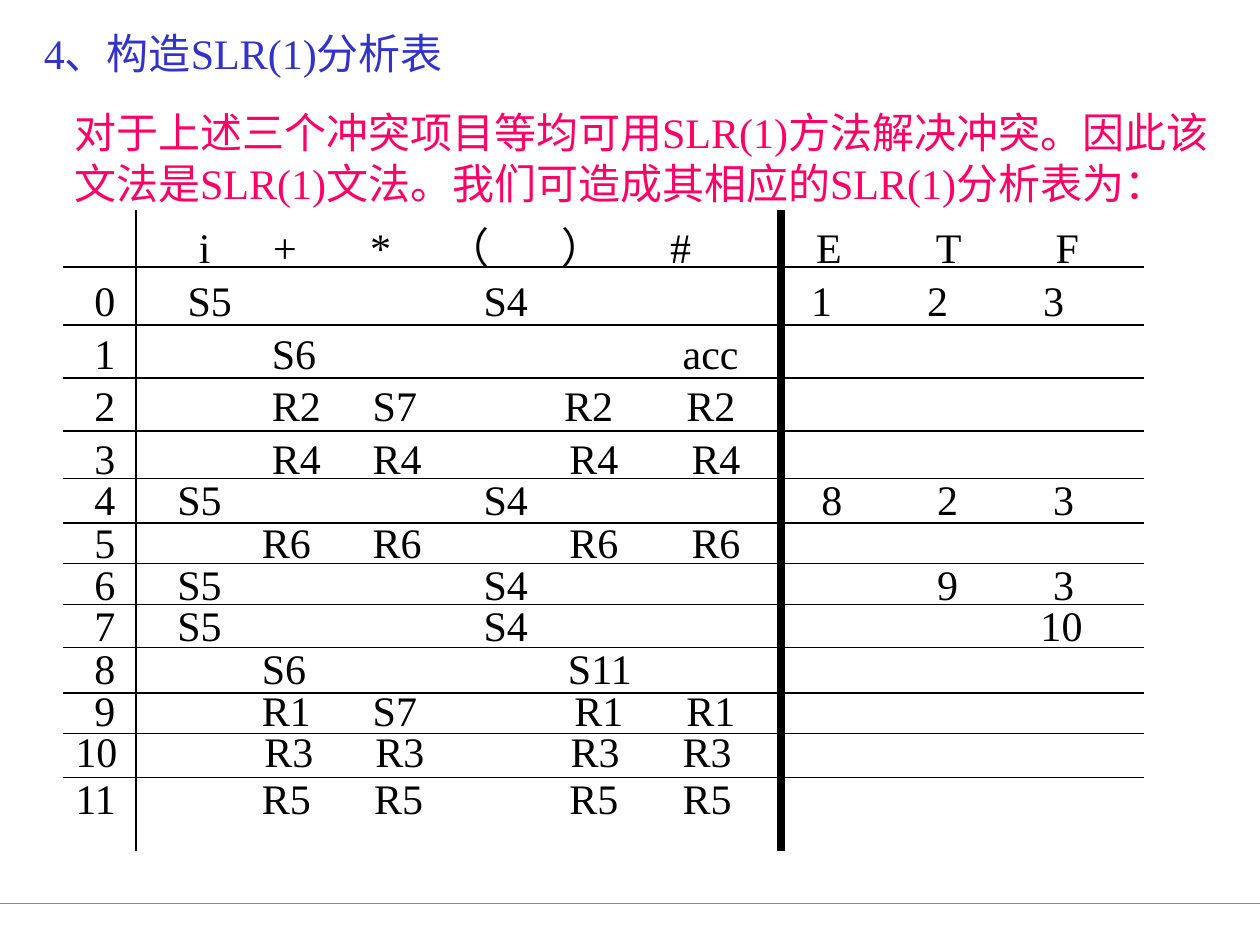
from dataclasses import dataclass

from lxml.etree import SubElement
from pptx import Presentation
from pptx.dml.color import RGBColor
from pptx.enum.shapes import MSO_CONNECTOR
from pptx.enum.text import MSO_ANCHOR
from pptx.oxml.ns import qn
from pptx.shapes.autoshape import Shape
from pptx.slide import Slide
from pptx.util import Inches, Pt

FONT = "Times New Roman"
SIZE = 24
BLACK = "000000"
BLUE = "3333CC"
PINK = "FF0066"
TEAL = "00CC99"
INSET = 0.1
TABLE_LEFT, TABLE_RIGHT = 0.5, 9.08
TABLE_TOP, TABLE_BOTTOM = 1.67, 6.75
STATE_DIVIDER, GOTO_DIVIDER = 1.08, 6.2
ROW_HEIGHT = 0.5


@dataclass(frozen=True)
class Cell:
    text: str
    x: float


@dataclass(frozen=True)
class Row:
    state: str
    left: float
    top: float
    cells: list[Cell]


def cells(texts: str, *positions: float) -> list[Cell]:
    """Pair space-separated entries with their horizontal positions."""
    return [Cell(text, x) for text, x in zip(texts.split(), positions, strict=True)]


ROWS = [
    Row("", 0.98, 1.71, cells("i + * （ ） # E T F",
                              1.58, 2.17, 2.94, 3.55, 4.46, 5.32, 6.48, 7.43, 8.38)),
    Row("0", 0.65, 2.13, cells("S5 S4 1 2 3", 1.49, 3.84, 6.44, 7.36, 8.28)),
    Row("1", 0.65, 2.55, cells("S6 acc", 2.16, 5.42)),
    Row("2", 0.65, 2.96, cells("R2 S7 R2 R2", 2.16, 2.96, 4.48, 5.45)),
    Row("3", 0.65, 3.38, cells("R4 R4 R4 R4", 2.16, 2.96, 4.52, 5.49)),
    Row("4", 0.65, 3.71, cells("S5 S4 8 2 3", 1.41, 3.84, 6.52, 7.44, 8.36)),
    Row("5", 0.65, 4.05, cells("R6 R6 R6 R6", 2.08, 2.96, 4.52, 5.49)),
    Row("6", 0.65, 4.38, cells("S5 S4 9 3", 1.41, 3.84, 7.44, 8.36)),
    Row("7", 0.65, 4.71, cells("S5 S4 10", 1.41, 3.84, 8.26)),
    Row("8", 0.65, 5.05, cells("S6 S11", 2.08, 4.51)),
    Row("9", 0.65, 5.38, cells("R1 S7 R1 R1", 2.08, 2.96, 4.56, 5.45)),
    Row("10", 0.5, 5.71, cells("R3 R3 R3 R3", 2.1, 2.98, 4.53, 5.42)),
    Row("11", 0.5, 6.08, cells("R5 R5 R5 R5", 2.08, 2.97, 4.52, 5.42)),
]
ROW_DIVIDERS = [2.12, 2.58, 3, 3.42, 3.8, 4.15, 4.47, 4.8, 5.14, 5.5, 5.82, 6.17]


def rgb(value: str) -> RGBColor:
    return RGBColor.from_string(value)


def add_text(slide: Slide, left: float, top: float, width: float, height: float,
             lines: list[str], color: str) -> Shape:
    box = slide.shapes.add_textbox(Inches(left), Inches(top), Inches(width), Inches(height))
    frame = box.text_frame
    frame.word_wrap = True
    for index, line in enumerate(lines):
        paragraph = frame.add_paragraph() if index else frame.paragraphs[0]
        run = paragraph.add_run()
        run.text = line
        run.font.name = FONT
        run.font.size = Pt(SIZE)
        run.font.color.rgb = rgb(color)
    return box


def add_row(slide: Slide, row: Row) -> None:
    """Write one table row, with a tab stop for every filled cell."""
    line = "\t".join([row.state, *(cell.text for cell in row.cells)])
    box = add_text(slide, row.left, row.top, TABLE_RIGHT - row.left, ROW_HEIGHT, [line], BLACK)
    properties = box.text_frame.paragraphs[0]._p.get_or_add_pPr()
    tab_list = SubElement(properties, qn("a:tabLst"))
    for cell in row.cells:
        offset = Inches(cell.x - row.left - INSET)
        SubElement(tab_list, qn("a:tab"), pos=str(offset), algn="l")


def add_line(slide: Slide, x1: float, y1: float, x2: float, y2: float,
             color: str = BLACK, weight: float = 0.75) -> None:
    line = slide.shapes.add_connector(MSO_CONNECTOR.STRAIGHT,
                                      Inches(x1), Inches(y1), Inches(x2), Inches(y2))
    line.line.color.rgb = rgb(color)
    line.line.width = Pt(weight)
    SubElement(line._element.spPr, qn("a:effectLst"))


def main() -> None:
    presentation = Presentation()
    presentation.slide_width, presentation.slide_height = Inches(10), Inches(7.5)
    slide = presentation.slides.add_slide(presentation.slide_layouts[6])

    add_line(slide, 0, 7.17, 10, 7.17, TEAL)
    title = add_text(slide, 0.25, 0, 8.5, 0.83, ["4、构造SLR(1)分析表"], BLUE)
    title.text_frame.vertical_anchor = MSO_ANCHOR.MIDDLE
    add_text(slide, 0.49, 0.8, 9.5, 0.9,
             ["对于上述三个冲突项目等均可用SLR(1)方法解决冲突。因此该",
              "文法是SLR(1)文法。我们可造成其相应的SLR(1)分析表为："], PINK)

    for row in ROWS:
        add_row(slide, row)
    for y in ROW_DIVIDERS:
        add_line(slide, TABLE_LEFT, y, TABLE_RIGHT, y)
    add_line(slide, STATE_DIVIDER, TABLE_TOP, STATE_DIVIDER, TABLE_BOTTOM)
    add_line(slide, GOTO_DIVIDER, TABLE_TOP, GOTO_DIVIDER, TABLE_BOTTOM, weight=4.25)

    presentation.save("out.pptx")


if __name__ == "__main__":
    main()
